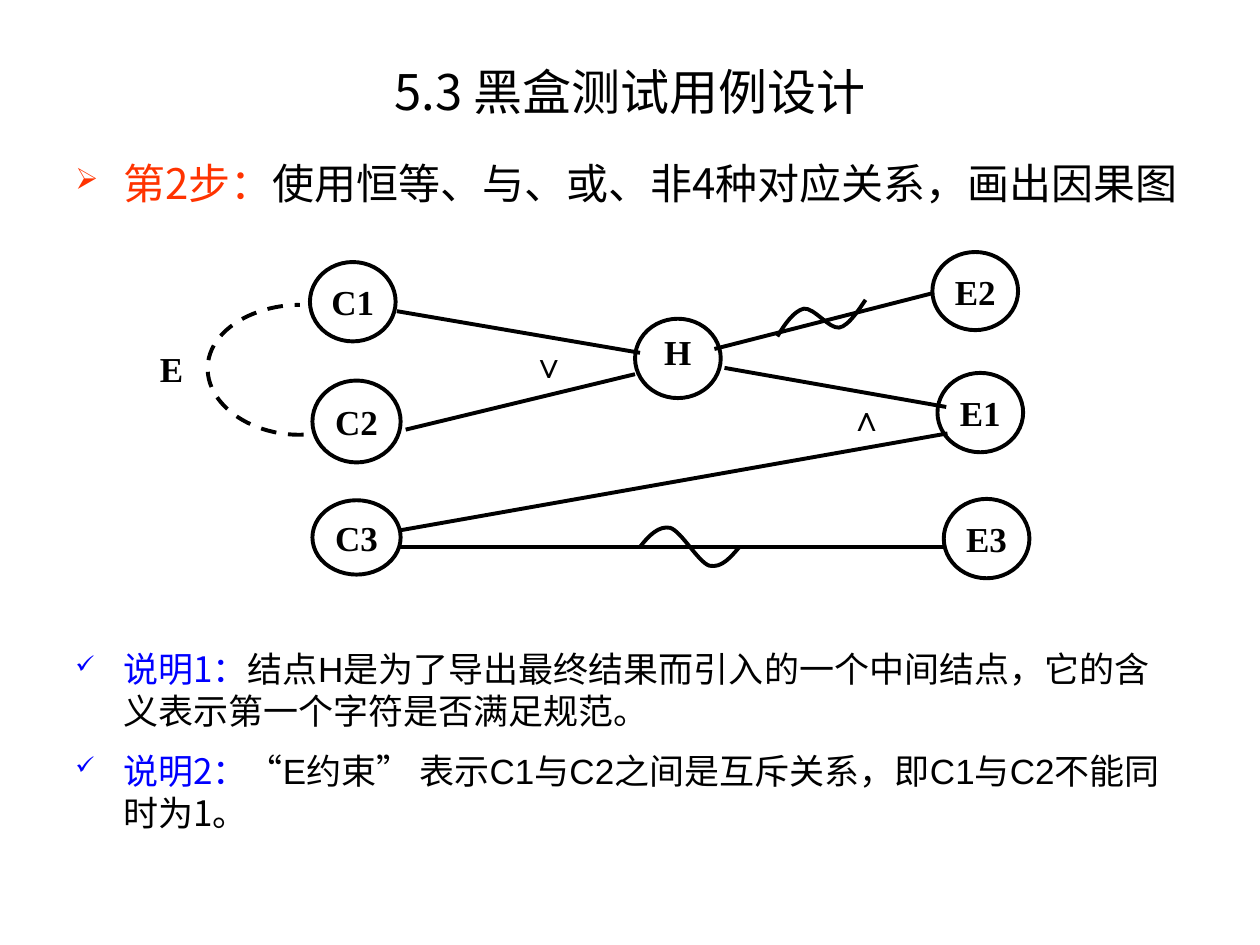
from dataclasses import dataclass

from lxml import etree
from pptx import Presentation
from pptx.dml.color import RGBColor
from pptx.enum.dml import MSO_LINE
from pptx.enum.shapes import MSO_CONNECTOR, MSO_SHAPE
from pptx.enum.text import MSO_ANCHOR, PP_ALIGN
from pptx.oxml.ns import qn
from pptx.util import Inches, Pt

OVAL = MSO_SHAPE.OVAL
STRAIGHT = MSO_CONNECTOR.STRAIGHT
DASH = MSO_LINE.DASH
TOP, MIDDLE = MSO_ANCHOR.TOP, MSO_ANCHOR.MIDDLE
LEFT, CENTER = PP_ALIGN.LEFT, PP_ALIGN.CENTER


@dataclass(frozen=True)
class Theme:
    black: str = "000000"
    red: str = "FF3300"
    blue: str = "0000FF"
    cjk: str = "Noto Sans CJK SC"
    latin: str = "Arial"
    serif: str = "Times New Roman"
    title: int = 28
    step: int = 24
    body: int = 20
    line: float = 2.25


THEME = Theme()

# name: (left, top, width, height, anchor)
NODES = {
    "C1": (2.46, 2.08, 0.68, 0.63, MIDDLE),
    "C2": (2.48, 3.02, 0.7, 0.65, MIDDLE),
    "C3": (2.48, 3.97, 0.7, 0.59, MIDDLE),
    "E2": (7.4, 2, 0.68, 0.62, MIDDLE),
    "E1": (7.44, 2.96, 0.68, 0.63, MIDDLE),
    "E3": (7.49, 3.96, 0.68, 0.63, MIDDLE),
    "H": (5.04, 2.53, 0.68, 0.63, TOP),
}
EDGES = [
    (3.15, 2.47, 5.08, 2.8),
    (3.22, 3.41, 5.04, 2.97),
    (5.75, 2.92, 7.51, 3.23),
    (7.52, 3.44, 3.17, 4.21),
    (5.67, 2.77, 7.39, 2.33),
    (3.17, 4.34, 7.5, 4.34),
]
LABELS = [("∨", 4.12, 2.68), ("∧", 6.64, 3.1), ("E", 1.17, 2.71)]

# Each curve is a start point followed by triples of Bézier points.
NOT_WAVES = [
    [(6.17, 2.67), (6.23, 2.57), (6.3, 2.47), (6.38, 2.45), (6.46, 2.44),
     (6.58, 2.61), (6.66, 2.6), (6.74, 2.59), (6.84, 2.42), (6.87, 2.38)],
    [(5.08, 4.34), (5.15, 4.25), (5.23, 4.17), (5.32, 4.19), (5.41, 4.22),
     (5.54, 4.46), (5.63, 4.49), (5.73, 4.51), (5.8, 4.42), (5.87, 4.34)],
]
EXCLUSIVE_ARC = [
    (2.41, 3.45), (2.15, 3.46), (1.9, 3.36), (1.76, 3.2), (1.62, 3.04),
    (1.61, 2.84), (1.74, 2.68), (1.87, 2.52), (2.12, 2.42), (2.38, 2.42),
]


def add_text(p, text, size=THEME.body, font=THEME.cjk, color=THEME.black, bold=False):
    r = p.add_run()
    r.text = text
    r.font.size = Pt(size)
    r.font.name = font
    r.font.bold = bold
    r.font.color.rgb = RGBColor.from_string(color)
    ea = etree.SubElement(r.font._element, qn("a:ea"))
    ea.set("typeface", THEME.cjk)


def add_box(slide, left, top, width, height):
    sp = slide.shapes.add_textbox(Inches(left), Inches(top), Inches(width), Inches(height))
    sp.text_frame.word_wrap = True
    return sp.text_frame


def set_bullet(p, char, color):
    p_pr = p._p.get_or_add_pPr()
    p_pr.set("marL", str(Inches(0.38)))
    p_pr.set("indent", str(-Inches(0.38)))
    bu_clr = etree.SubElement(p_pr, qn("a:buClr"))
    etree.SubElement(bu_clr, qn("a:srgbClr")).set("val", color)
    etree.SubElement(p_pr, qn("a:buSzPct")).set("val", "70000")
    etree.SubElement(p_pr, qn("a:buChar")).set("char", char)


def add_bullet(p, char, color, lead, runs, size, before=0):
    """Write a bulleted paragraph: a coloured lead, then (text, font) runs."""
    p.alignment = LEFT
    p.space_before = Pt(before)
    p.line_spacing = 1.0
    set_bullet(p, char, color)
    add_text(p, lead, size=size, color=color)
    for text, font in runs:
        add_text(p, text, size=size, font=font)


def style_line(sp, dash=None):
    sp.line.color.rgb = RGBColor.from_string(THEME.black)
    sp.line.width = Pt(THEME.line)
    if dash:
        sp.line.dash_style = dash


def add_node(slide, name, left, top, width, height, anchor):
    sp = slide.shapes.add_shape(OVAL, Inches(left), Inches(top), Inches(width), Inches(height))
    sp.shadow.inherit = False
    sp.fill.background()
    style_line(sp)
    tf = sp.text_frame
    tf.margin_left = tf.margin_top = tf.margin_right = tf.margin_bottom = 0
    tf.vertical_anchor = anchor
    p = tf.paragraphs[0]
    p.alignment = CENTER
    p.space_after = Pt(6)
    add_text(p, name, font=THEME.serif, bold=True)


def add_edge(slide, x1, y1, x2, y2):
    cxn = slide.shapes.add_connector(STRAIGHT, Inches(x1), Inches(y1), Inches(x2), Inches(y2))
    style_line(cxn)
    etree.SubElement(cxn._element.spPr, qn("a:effectLst"))


def add_curve(slide, points, dash=None):
    """Draw an open outline, joining each three segments into one Bézier curve."""
    start, *rest = [(Inches(x), Inches(y)) for x, y in points]
    builder = slide.shapes.build_freeform(*start)
    builder.add_line_segments(rest, close=False)
    sp = builder.convert_to_shape()
    segments = list(sp._element.iter(qn("a:lnTo")))
    for i in range(0, len(segments), 3):
        curve = etree.Element(qn("a:cubicBezTo"))
        segments[i].addprevious(curve)
        for segment in segments[i:i + 3]:
            curve.append(segment[0])
            segment.getparent().remove(segment)
    sp.shadow.inherit = False
    sp.fill.background()
    style_line(sp, dash)


def add_title(slide, text):
    sp = slide.shapes.title
    sp.left, sp.top, sp.width, sp.height = Inches(0.5), Inches(0.33), Inches(9), Inches(0.78)
    sp.text_frame.vertical_anchor = MIDDLE
    p = sp.text_frame.paragraphs[0]
    p.alignment = CENTER
    add_text(p, text, size=THEME.title)


def add_diagram(slide):
    for name, place in NODES.items():
        add_node(slide, name, *place)
    for edge in EDGES:
        add_edge(slide, *edge)
    for wave in NOT_WAVES:
        add_curve(slide, wave)
    add_curve(slide, EXCLUSIVE_ARC, dash=DASH)
    for text, left, top in LABELS:
        tf = add_box(slide, left, top, 0.7, 0.6)
        add_text(tf.paragraphs[0], text, font=THEME.serif, bold=True)


def main():
    prs = Presentation()
    prs.slide_width, prs.slide_height = Inches(10), Inches(7.5)
    slide = prs.slides.add_slide(prs.slide_layouts[5])
    add_title(slide, "5.3 黑盒测试用例设计")

    tf = add_box(slide, 0.5, 1.2, 9, 1.07)
    add_bullet(tf.paragraphs[0], "➢", THEME.red, "第2步：",
               [("使用恒等、与、或、非4种对应关系，画出因果图", THEME.cjk)], THEME.step)
    add_diagram(slide)

    tf = add_box(slide, 0.5, 5.09, 9, 1.9)
    add_bullet(tf.paragraphs[0], "✓", THEME.blue, "说明1：",
               [("结点", THEME.cjk), ("H是", THEME.latin),
                ("为了导出最终结果而引入的一个中间结点，它的含义表示第一个字符是否满足规范。", THEME.cjk)],
               THEME.body)
    add_bullet(tf.add_paragraph(), "✓", THEME.blue, "说明2：",
               [("“E约束” 表示C1与C2之间是互斥关系，即C1与C2不能同时为", THEME.latin),
                ("1", THEME.cjk), ("。", THEME.latin)],
               THEME.body, before=10)
    prs.save("out.pptx")


if __name__ == "__main__":
    main()
